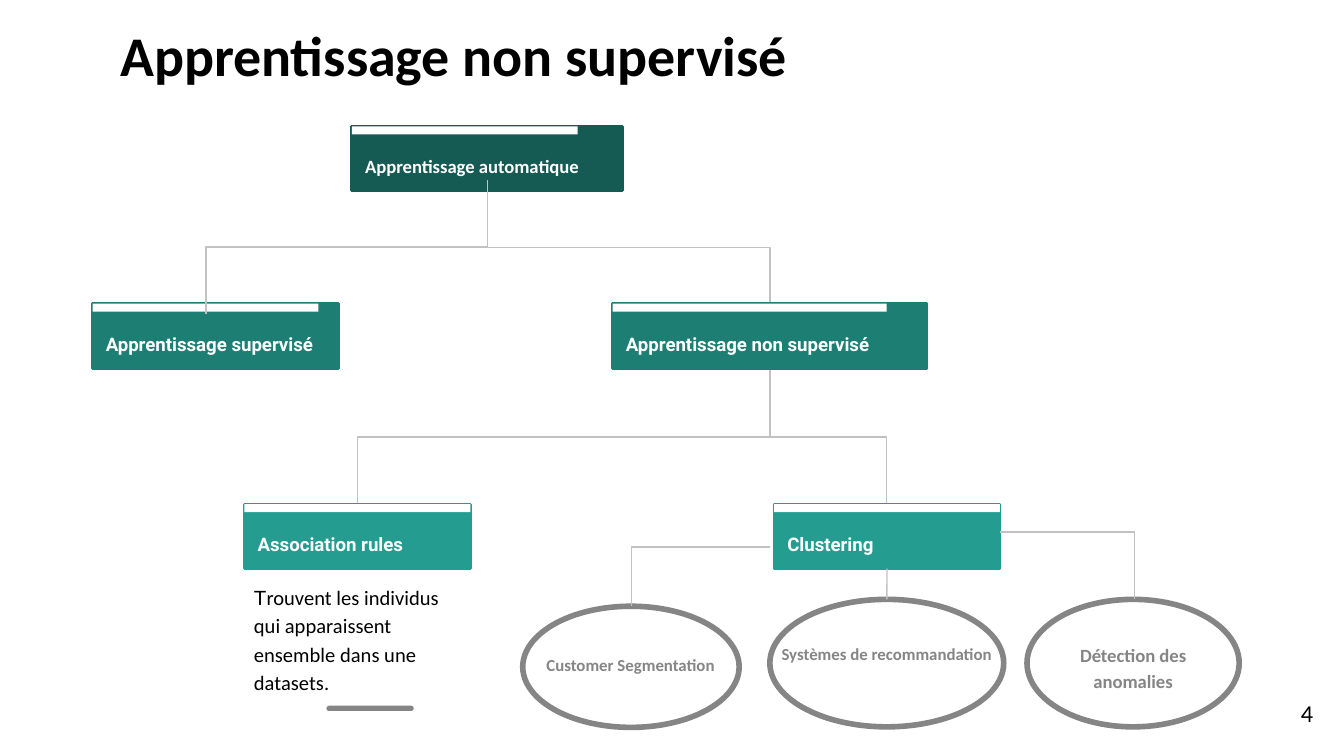
from lxml.etree import SubElement
from pptx import Presentation
from pptx.dml.color import RGBColor
from pptx.enum.shapes import MSO_CONNECTOR, MSO_SHAPE
from pptx.enum.text import MSO_ANCHOR, MSO_AUTO_SIZE, PP_ALIGN
from pptx.oxml.ns import qn
from pptx.util import Cm, Pt

GREY = "858585"
LINE_GREY = "C2C2C2"
WHITE = "FFFFFF"
BLACK = "000000"
BOX_HEIGHT = 1.22


def color(value):
    """Turn a hex string into a colour."""
    return RGBColor.from_string(value)


def write_text(shape, text, size, ink, font="Calibri", bold=False,
               align=PP_ALIGN.LEFT, anchor=MSO_ANCHOR.TOP, spacing=None):
    """Write one formatted paragraph into a shape and return it."""
    frame = shape.text_frame
    frame.word_wrap = True
    frame.auto_size = MSO_AUTO_SIZE.NONE
    frame.vertical_anchor = anchor
    frame.margin_left = frame.margin_right = Cm(0.25)
    frame.margin_top = frame.margin_bottom = Cm(0.25)
    para = frame.paragraphs[0]
    para.text = text
    para.alignment = align
    if spacing:
        para.line_spacing = spacing
    para.font.size = Pt(size)
    para.font.name = font
    para.font.bold = bold
    para.font.color.rgb = color(ink)
    return para


def add_title(page, text):
    """Place and fill the title placeholder."""
    title = page.shapes.title
    title.left, title.top = Cm(0.25), Cm(0.13)
    title.width, title.height = Cm(16.66), Cm(1.73)
    write_text(title, text, 30, BLACK, bold=True, align=PP_ALIGN.CENTER)


def add_text(page, left, top, width, height, text, size, ink, **style):
    """Add a text box and return its paragraph."""
    box = page.shapes.add_textbox(Cm(left), Cm(top), Cm(width), Cm(height))
    return write_text(box, text, size, ink, **style)


def add_figure(page, kind, left, top, width, height, fill=None, line=None, weight=1.5):
    """Add a preset shape with an optional fill and outline."""
    shape = page.shapes.add_shape(kind, Cm(left), Cm(top), Cm(width), Cm(height))
    shape.shadow.inherit = False
    if fill:
        shape.fill.solid()
        shape.fill.fore_color.rgb = color(fill)
    else:
        shape.fill.background()
    if line:
        shape.line.color.rgb = color(line)
        shape.line.width = Pt(weight)
    else:
        shape.line.fill.background()
    return shape


def add_node(page, left, top, width, bar_width, fill, text, font="Roboto"):
    """Add a tree box with a white bar along its top edge."""
    node = add_figure(page, MSO_SHAPE.RECTANGLE, left, top, width, BOX_HEIGHT, fill, fill)
    write_text(node, text, 10, WHITE, font, bold=True, anchor=MSO_ANCHOR.BOTTOM)
    add_figure(page, MSO_SHAPE.RECTANGLE, left, top, bar_width, 0.15, WHITE)
    return node


def add_line(page, kind, x1, y1, x2, y2):
    """Add a thin grey connector without a shadow."""
    line = page.shapes.add_connector(kind, Cm(x1), Cm(y1), Cm(x2), Cm(y2))
    line.line.color.rgb = color(LINE_GREY)
    line.line.width = Pt(0.75)
    SubElement(line._element.spPr, qn("a:effectLst"))
    return line


def add_branch(page, x1, y1, x2, y2):
    """Add an elbow that leaves vertically, as a quarter-turned connector."""
    center_x, center_y = (x1 + x2) / 2, (y1 + y2) / 2
    half_x, half_y = (x2 - x1) / 2, (y2 - y1) / 2
    branch = add_line(page, MSO_CONNECTOR.ELBOW, center_x - half_y, center_y + half_x,
                      center_x + half_y, center_y - half_x)
    branch._element.spPr.find(qn("a:xfrm")).set("rot", "5400000")


def add_corner(page, x1, y1, x2, y2):
    """Add a connector with one bend that leaves horizontally."""
    corner = add_line(page, MSO_CONNECTOR.ELBOW, x1, y1, x2, y2)
    corner._element.spPr.find(qn("a:prstGeom")).set("prst", "bentConnector2")


def add_use_case(page, ellipse_at, text_at, text, size):
    """Add a grey ellipse with its caption."""
    ellipse = add_figure(page, MSO_SHAPE.OVAL, *ellipse_at, line=GREY, weight=3)
    para = add_text(page, *text_at, text, size, GREY, bold=True,
                    align=PP_ALIGN.CENTER, spacing=1.15)
    para.space_after = Pt(16)
    return ellipse


def add_description(page):
    """Describe association rules above a short rounded bar."""
    add_figure(page, MSO_SHAPE.ROUNDED_RECTANGLE, 6.17, 13.34, 1.65, 0.1,
               GREY).adjustments[0] = 0.5
    para = add_text(page, 4.55, 10.74, 4.42, 2.62, "T", 11, BLACK, spacing=1.15)
    para.runs[0].font.name = "Arial"
    span = para.add_run()
    span.text = "rouvent les individus qui apparaissent ensemble dans une datasets."


def main():
    """Build the tree of learning methods."""
    deck = Presentation()
    deck.slide_width, deck.slide_height = Cm(25.4), Cm(14.29)
    page = deck.slides.add_slide(deck.slide_layouts[5])
    add_title(page, "Apprentissage non supervisé")

    add_branch(page, 9.21, 3.63, 14.55, 5.74)
    for child_x in (16.76, 6.76):
        add_branch(page, 14.55, 6.99, child_x, 9.53)

    add_node(page, 6.65, 2.39, 5.11, 4.27, "155B54", "Apprentissage automatique", "Calibri")
    add_node(page, 1.75, 5.74, 4.65, 4.27, "1D7E74", "Apprentissage supervisé")
    add_node(page, 11.58, 5.74, 5.94, 5.18, "1D7E74", "Apprentissage non supervisé")
    clustering = add_node(page, 14.63, 9.53, 4.27, 4.27, "249C90", "Clustering")
    add_node(page, 4.62, 9.53, 4.27, 4.27, "249C90", "Association rules")
    add_branch(page, 9.21, 3.4, 3.89, 5.94)
    add_description(page)

    add_use_case(page, (9.88, 11.46, 4.09, 2.29), (9.5, 12.07, 4.83, 1.24),
                 "Customer Segmentation", 9)
    systems = add_use_case(page, (14.55, 11.33, 4.42, 2.41), (14.43, 11.86, 4.65, 1.42),
                           "Systèmes de recommandation", 9)
    add_use_case(page, (19.41, 11.33, 4.01, 2.41), (19.41, 11.86, 4.01, 1.42),
                 "Détection des anomalies", 10)

    add_corner(page, 14.55, 10.34, 11.94, 11.46)
    add_corner(page, 18.9, 10.06, 21.44, 11.33)
    link = add_line(page, MSO_CONNECTOR.STRAIGHT, 16.76, 10.75, 16.76, 11.33)
    link.begin_connect(clustering, 2)
    link.end_connect(systems, 0)

    add_text(page, 23.55, 12.95, 1.52, 1.09, "4", 13, BLACK, align=PP_ALIGN.RIGHT)
    deck.save("out.pptx")


if __name__ == "__main__":
    main()
